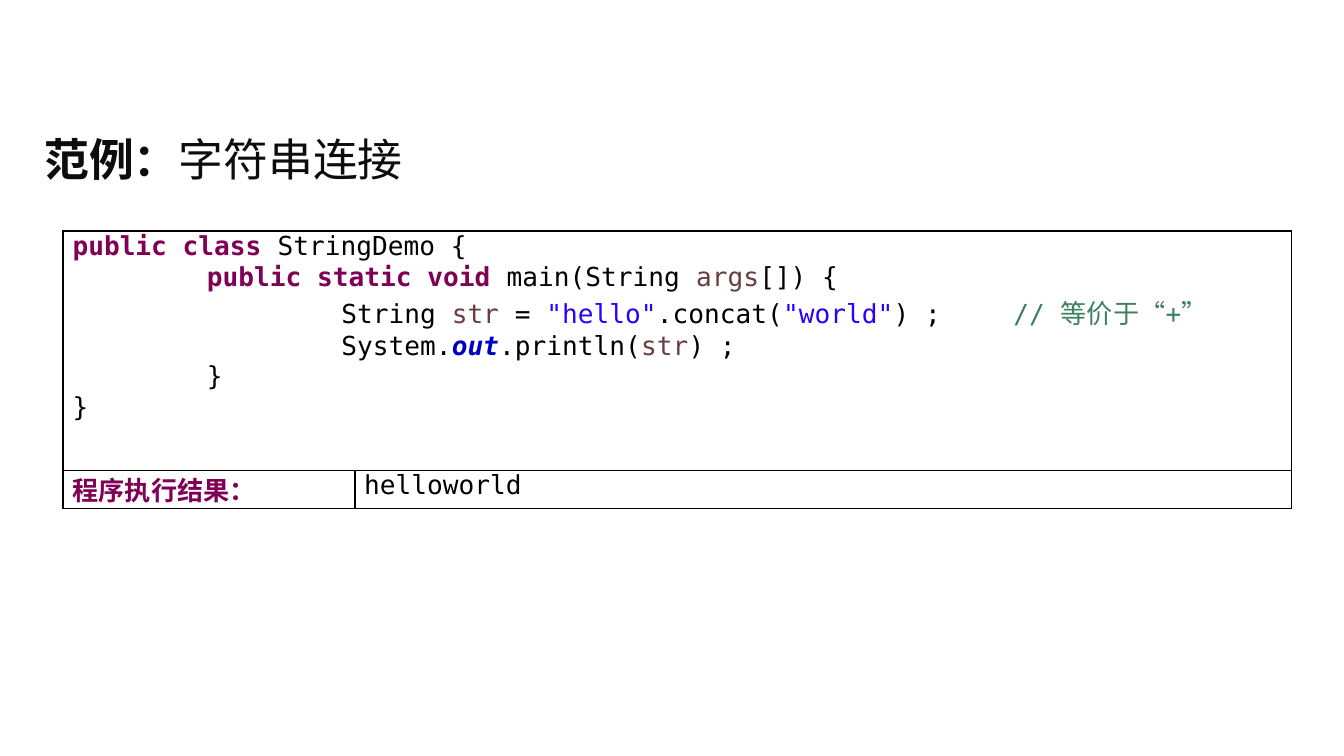
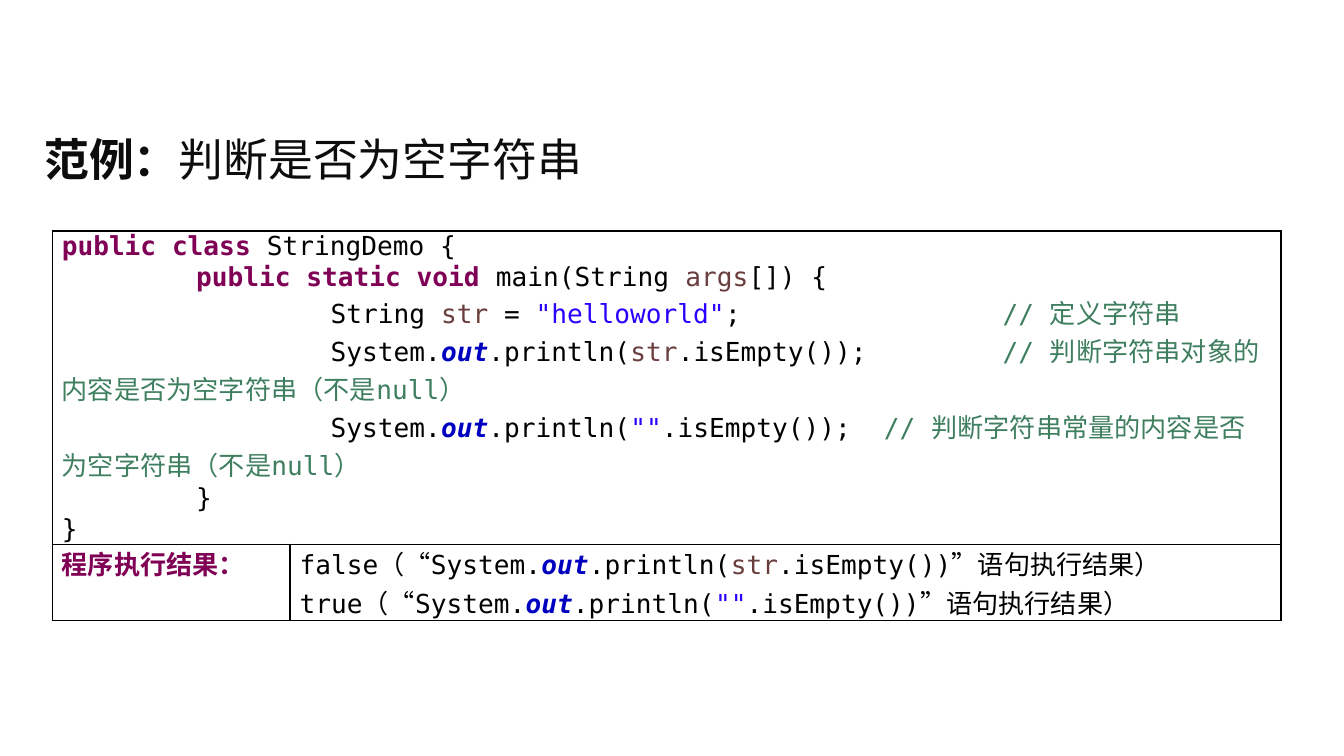
from lxml import etree
from pptx import Presentation
from pptx.dml.color import RGBColor
from pptx.enum.text import MSO_ANCHOR, MSO_AUTO_SIZE, PP_ALIGN
from pptx.oxml.ns import qn
from pptx.util import Inches, Pt

LEFT = PP_ALIGN.LEFT
MIDDLE = MSO_ANCHOR.MIDDLE
NO_AUTOFIT = MSO_AUTO_SIZE.NONE
TITLE_ONLY = 5

SLIDE_WIDTH = Inches(10)
SLIDE_HEIGHT = SLIDE_WIDTH * 9 // 16
CODE_FONT = "DejaVu Sans Mono"
CHINESE_FONT = "Noto Sans CJK SC"
TITLE_COLOUR = "0D0D0D"
BORDER_COLOUR = "000000"
TITLE_BOX = (0.23, 0.86, 9.53, 0.64)
TAB_STOPS = range(1, 8)

PLAIN, KEYWORD, VARIABLE, LITERAL, FIELD, COMMENT = range(6)
STYLES = {
    PLAIN: ("000000", False, False),
    KEYWORD: ("7F0055", True, False),
    VARIABLE: ("6A3E3E", False, False),
    LITERAL: ("2A00FF", False, False),
    FIELD: ("0000C0", True, True),
    COMMENT: ("3F7F5F", False, False),
}

STR = ("str", VARIABLE)
EMPTY = ('""', LITERAL)
RESULT_LABEL = [[("程序执行结果：", KEYWORD)]]


def println(before, argument, after):
    return [(before + "System.", PLAIN), ("out", FIELD), (".println(", PLAIN),
            argument, (after, PLAIN)]


def program(body):
    opening = [
        [("public class ", KEYWORD), ("StringDemo {", PLAIN)],
        [("\t", PLAIN), ("public static void", KEYWORD), (" main(String ", PLAIN),
         ("args", VARIABLE), ("[]) {", PLAIN)],
    ]
    return opening + body + [[("\t}", PLAIN)], [("}", PLAIN)]]


DECLARATION = [("\t\tString ", PLAIN), STR, (" = ", PLAIN)]

EXAMPLES = [
    {
        "topic": "字符串连接",
        "corner": (0.47, 1.72),
        "columns": (2.17, 6.97),
        "rows": (1.78, 0.25),
        "code": program([
            DECLARATION + [('"hello"', LITERAL), (".concat(", PLAIN),
                           ('"world"', LITERAL), (") ;\t", PLAIN),
                           ("// 等价于“+”", COMMENT)],
            println("\t\t", STR, ") ;"),
        ]),
        "result": [[("helloworld", PLAIN)]],
    },
    {
        "topic": "判断是否为空字符串",
        "corner": (0.39, 1.72),
        "columns": (1.77, 7.37),
        "rows": (1.95, 0.39),
        "code": program([
            DECLARATION + [('"helloworld"', LITERAL), (";\t\t", PLAIN),
                           ("// 定义字符串", COMMENT)],
            println("\t\t", STR, ".isEmpty()); \t")
            + [("// 判断字符串对象的内容是否为空字符串（不是null）", COMMENT)],
            println("\t\t", EMPTY, ".isEmpty());\t ")
            + [("// 判断字符串常量的内容是否为空字符串（不是null）", COMMENT)],
        ]),
        "result": [
            println("false（“", STR, ".isEmpty())”语句执行结果）"),
            println("true（“", EMPTY, ".isEmpty())”语句执行结果）"),
        ],
    },
]


def colour(hex_string):
    return RGBColor.from_string(hex_string)


def set_paragraph_font(paragraph, name, size):
    font = paragraph.font
    font.name = name
    font.size = Pt(size)
    east_asian = etree.SubElement(font._element, qn("a:ea"))
    east_asian.set("typeface", CHINESE_FONT)


def add_tab_stops(paragraph):
    stops = etree.SubElement(paragraph._p.get_or_add_pPr(), qn("a:tabLst"))
    for position in TAB_STOPS:
        stop = etree.SubElement(stops, qn("a:tab"))
        stop.set("pos", str(Inches(position)))
        stop.set("algn", "l")


def add_title(slide, box, topic):
    title = slide.shapes.title
    title.left, title.top, title.width, title.height = map(Inches, box)
    frame = title.text_frame
    frame.word_wrap = True
    frame.auto_size = NO_AUTOFIT
    frame.vertical_anchor = MIDDLE
    heading = frame.paragraphs[0]
    heading.alignment = LEFT
    set_paragraph_font(heading, CHINESE_FONT, 24)
    heading.font.color.rgb = colour(TITLE_COLOUR)
    for text, bold in (("范例：", True), (topic, False)):
        run = heading.add_run()
        run.text = text
        run.font.bold = bold


def write_lines(cell, lines):
    frame = cell.text_frame
    for index, line in enumerate(lines):
        paragraph = frame.add_paragraph() if index else frame.paragraphs[0]
        add_tab_stops(paragraph)
        set_paragraph_font(paragraph, CODE_FONT, 14)
        for text, style in line:
            run = paragraph.add_run()
            run.text = text
            hex_string, run.font.bold, run.font.italic = STYLES[style]
            run.font.color.rgb = colour(hex_string)


def format_cell(cell):
    cell.margin_left = cell.margin_right = Inches(0.07)
    cell.margin_top = cell.margin_bottom = 0
    cell.fill.background()
    properties = cell._tc.get_or_add_tcPr()
    for index, side in enumerate(("lnL", "lnR", "lnT", "lnB")):
        border = etree.Element(qn("a:" + side), w=str(Pt(1)))
        fill = etree.SubElement(border, qn("a:solidFill"))
        etree.SubElement(fill, qn("a:srgbClr"), val=BORDER_COLOUR)
        properties.insert(index, border)


def add_code_table(slide, corner, columns, rows, code, result):
    box = (*corner, sum(columns), sum(rows))
    table = slide.shapes.add_table(len(rows), len(columns), *map(Inches, box)).table
    table.first_row = table.horz_banding = False
    for column, width in zip(table.columns, columns):
        column.width = Inches(width)
    for row, height in zip(table.rows, rows):
        row.height = Inches(height)
    for cell in table.iter_cells():
        format_cell(cell)
    table.cell(0, 0).merge(table.cell(0, 1))
    write_lines(table.cell(0, 0), code)
    write_lines(table.cell(1, 0), RESULT_LABEL)
    write_lines(table.cell(1, 1), result)


def add_example_slide(deck, topic, **listing):
    slide = deck.slides.add_slide(deck.slide_layouts[TITLE_ONLY])
    add_title(slide, TITLE_BOX, topic)
    add_code_table(slide, **listing)


def main():
    deck = Presentation()
    deck.slide_width, deck.slide_height = SLIDE_WIDTH, SLIDE_HEIGHT
    for example in EXAMPLES:
        add_example_slide(deck, **example)
    deck.save("out.pptx")


if __name__ == "__main__":
    main()
